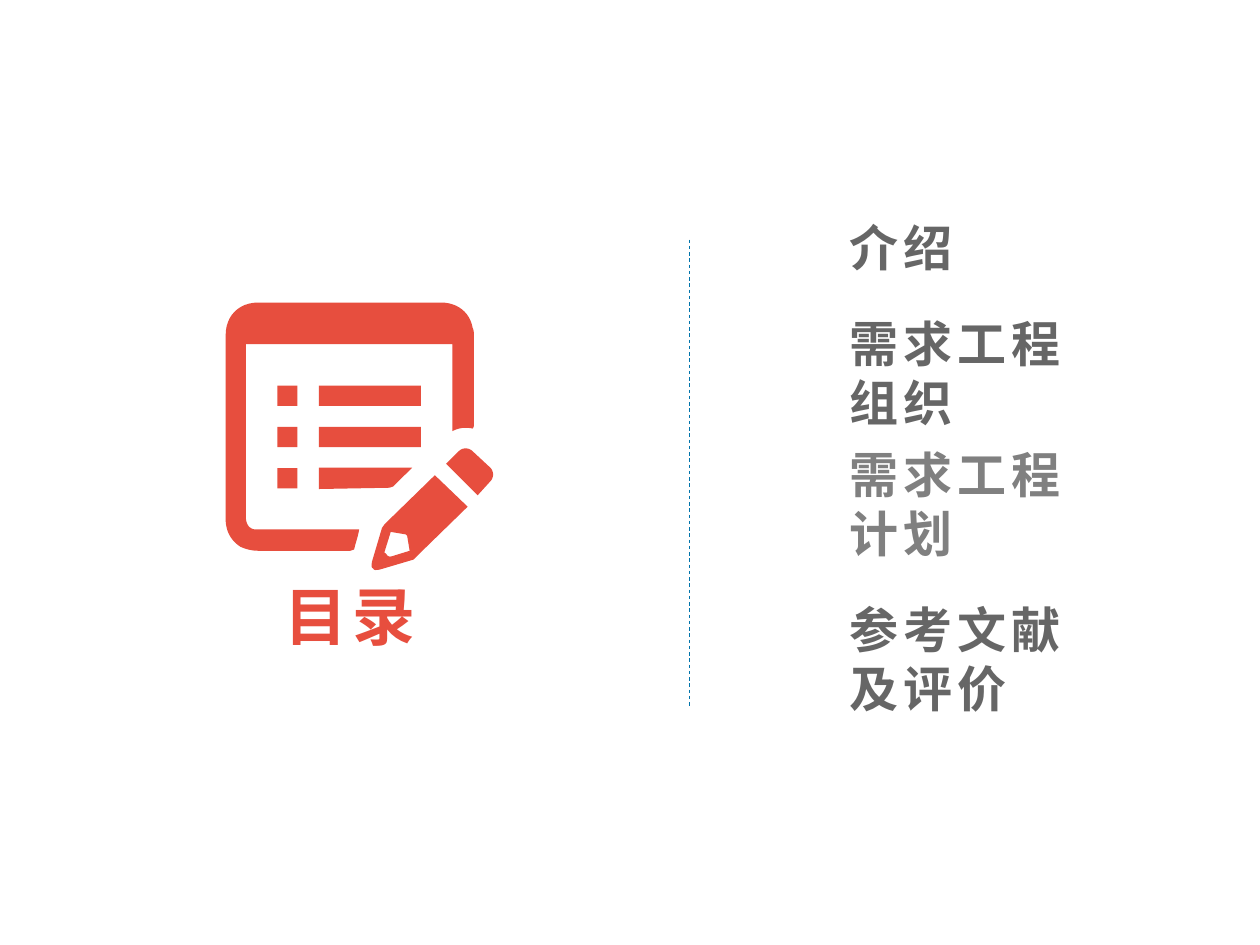
from lxml.etree import SubElement
from pptx import Presentation
from pptx.dml.color import RGBColor
from pptx.enum.dml import MSO_LINE
from pptx.enum.shapes import MSO_CONNECTOR, MSO_SHAPE
from pptx.enum.text import MSO_AUTO_SIZE as AutoSize, PP_ALIGN as Align
from pptx.oxml.ns import qn
from pptx.util import Cm, Pt

FONT = "Noto Sans CJK SC"
RED, DARK_GRAY, GRAY, BLUE = "E74E3E", "666666", "808080", "0174AB"
ICON_UNITS = 213  # width of the icon grid
CURVE_STEPS = 12

# Icon outlines: a pair is a corner, six numbers are a Bézier curve
PAGE = [
    (106, 180), (105, 186, 103, 191, 102, 196), (99, 197), (26, 197),
    (21, 197, 17, 196, 12, 194), (4, 189, 0, 181, 0, 172),
    (0, 26), (0, 11, 10, 0, 26, 0), (171, 0), (184, 0, 194, 8, 196, 20),
    (197, 22, 197, 24, 197, 26), (197, 97), (197, 98, 197, 99, 196, 100),
    (191, 99, 186, 99, 180, 102), (180, 33), (16, 33), (16, 170),
    (16, 176, 19, 181, 26, 180),
]
PENCIL_BODY = [
    (166, 137), (192, 162), (152, 201), (149, 204), (122, 212),
    (120, 212, 118, 213, 117, 211), (115, 210, 116, 208, 116, 206),
    (124, 179), (126, 176),
]
PENCIL_TIP = [
    (131, 182), (126, 198), (126, 198, 126, 199, 127, 199),
    (129, 202, 130, 202, 133, 201), (146, 197), (144, 185), (143, 184),
]
ERASER = [
    (175, 128), (185, 118), (188, 115, 193, 115, 196, 118),
    (210, 131), (213, 134, 213, 139, 210, 142), (200, 153),
]
CUT_BAR = [(74, 131), (148, 131), (133, 146), (130, 147), (74, 148)]


def color(value):
    return RGBColor.from_string(value)


def paint(shape, value):
    shape.fill.solid()
    shape.fill.fore_color.rgb = color(value)
    shape.line.fill.background()
    shape.shadow.inherit = False


def trace(outline):
    """Turn an outline into points, sampling its curves."""
    points = []
    for step in outline:
        if len(step) == 2:
            points.append(step)
            continue
        controls = [points[-1], step[:2], step[2:4], step[4:]]
        for index in range(1, CURVE_STEPS + 1):
            t = index / CURVE_STEPS
            weights = ((1 - t) ** 3, 3 * t * (1 - t) ** 2, 3 * t * t * (1 - t), t ** 3)
            points.append(tuple(
                sum(weight * control[axis] for weight, control in zip(weights, controls))
                for axis in (0, 1)))
    return points


def add_text(slide, text, left, top, width, height, size, value, align=Align.LEFT):
    box = slide.shapes.add_textbox(Cm(left), Cm(top), Cm(width), Cm(height))
    frame = box.text_frame
    frame.word_wrap = True
    frame.auto_size = AutoSize.SHAPE_TO_FIT_TEXT
    paragraph = frame.paragraphs[0]
    paragraph.text = text
    paragraph.alignment = align
    font = paragraph.font
    font.size, font.bold, font.name = Pt(size), True, FONT
    font.color.rgb = color(value)
    # Letter spacing and East Asian typeface
    properties = paragraph._p.pPr.find(qn("a:defRPr"))
    properties.set("spc", "300")
    SubElement(properties, qn("a:ea"), typeface=FONT)


def add_notepad_icon(slide, left, top, width):
    shapes = slide.shapes.add_group_shape().shapes
    unit = width / ICON_UNITS

    def place(x, y):
        return Cm(left + x * unit), Cm(top + y * unit)

    def add_outline(*contours):
        builder = None
        for contour in contours:
            points = [place(x, y) for x, y in trace(contour)]
            if builder is None:
                builder = shapes.build_freeform(*points[0])
            else:
                builder.move_to(*points[0])
            builder.add_line_segments(points[1:], close=True)
        paint(builder.convert_to_shape(), RED)

    def add_bar(x, y, bar_width):
        bar = shapes.add_shape(MSO_SHAPE.RECTANGLE, *place(x, y),
                               Cm(bar_width * unit), Cm(16 * unit))
        paint(bar, RED)

    # Page and pencil
    add_outline(PAGE)
    add_outline(PENCIL_BODY, PENCIL_TIP)
    add_outline(ERASER)

    # List rows; the pencil cuts the last bar
    for row in range(3):
        y = 66 + 32.75 * row
        add_bar(41, y, 16)
        if row < 2:
            add_bar(74, y, 81)
    add_outline(CUT_BAR)


def add_title(slide, left, top, width):
    add_notepad_icon(slide, left + 0.99, top, 5.41)
    add_text(slide, "目录", left, top + 5.41, width, 1.8, 36, RED, Align.CENTER)


def add_divider(slide, left, top, height):
    line = slide.shapes.add_connector(
        MSO_CONNECTOR.STRAIGHT, Cm(left), Cm(top), Cm(left), Cm(top + height))
    line.line.color.rgb = color(BLUE)
    line.line.width = Pt(0.5)
    line.line.dash_style = MSO_LINE.DASH
    SubElement(line._element.spPr, qn("a:effectLst"))


def add_contents(slide, left, top):
    entries = [
        ("介绍", 0, 4.98, 1.45, DARK_GRAY),
        ("需求工程组织", 1.93, 5.36, 2.64, DARK_GRAY),
        ("需求工程计划", 4.57, 5.36, 2.64, GRAY),
        ("参考文献及评价", 7.7, 4.98, 2.64, DARK_GRAY),
    ]
    for text, offset, width, height, value in entries:
        add_text(slide, text, left, top + offset, width, height, 28, value)


def main():
    presentation = Presentation()
    presentation.slide_width, presentation.slide_height = Cm(25.4), Cm(19.05)
    slide = presentation.slides.add_slide(presentation.slide_layouts[6])
    add_divider(slide, 13.89, 4.83, 9.4)
    add_contents(slide, 16.87, 4.27)
    add_title(slide, 3.56, 6.1, 7.01)
    presentation.save("out.pptx")


if __name__ == "__main__":
    main()
